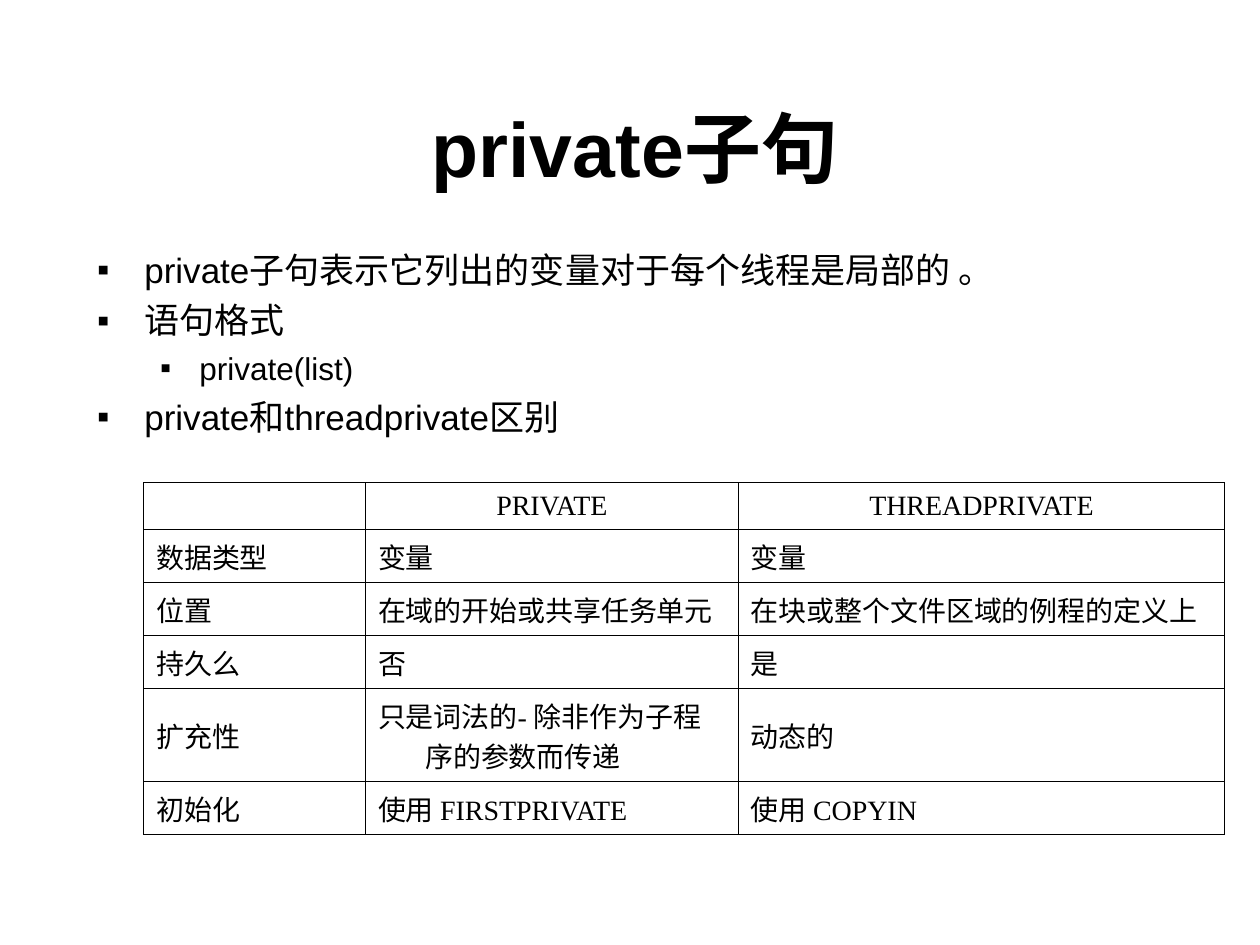
from lxml import etree
from pptx import Presentation
from pptx.dml.color import RGBColor
from pptx.enum.text import MSO_ANCHOR, MSO_AUTO_SIZE, PP_ALIGN
from pptx.oxml.ns import qn
from pptx.util import Pt

COLORS = {"ink": "000000"}
HEADING = "private子句"
POINTS = [
    (0, "private子句表示它列出的变量对于每个线程是局部的 。"),
    (0, "语句格式"),
    (1, "private(list)"),
    (0, "private和threadprivate区别"),
]
COMPARISON = [
    ("", "PRIVATE", "THREADPRIVATE"),
    ("数据类型", "变量", "变量"),
    ("位置", "在域的开始或共享任务单元", "在块或整个文件区域的例程的定义上"),
    ("持久么", "否", "是"),
    ("扩充性", "只是词法的- 除非作为子程序的参数而传递", "动态的"),
    ("初始化", "使用 FIRSTPRIVATE", "使用 COPYIN"),
]
COLUMN_WIDTHS = [126.72, 213.12, 277.92]
ROW_HEIGHTS = [26.64, 26.64, 26.64, 26.64, 45.36, 26.64]
# Per outline level: text size, space before, left margin, hanging indent
LEVELS = [(20, 5, 27, 27), (18, 4.5, 58.5, 22.5)]
CELL_SIZE, CELL_INDENT, BORDER = 16, 27, 0.45


def place(shape, left, top, width, height):
    shape.left, shape.top = Pt(left), Pt(top)
    shape.width, shape.height = Pt(width), Pt(height)


def style(paragraph, face, size, bold=False):
    for run in paragraph.runs:
        run.font.name, run.font.size, run.font.bold = face, Pt(size), bold
        run.font.color.rgb = RGBColor.from_string(COLORS["ink"])


def hang(paragraph, margin, indent):
    properties = paragraph._p.get_or_add_pPr()
    properties.set("marL", str(Pt(margin)))
    properties.set("indent", str(-Pt(indent)))
    return properties


def add_bullet(properties):
    color = etree.SubElement(properties, qn("a:buClr"))
    etree.SubElement(color, qn("a:srgbClr"), val=COLORS["ink"])
    etree.SubElement(properties, qn("a:buFont"), typeface="Arial")
    etree.SubElement(properties, qn("a:buChar"), char="▪")


def outline(cell):
    properties = cell._tc.get_or_add_tcPr()
    for position, side in enumerate(("lnL", "lnR", "lnT", "lnB")):
        line = etree.Element(qn(f"a:{side}"), w=str(Pt(BORDER)))
        fill = etree.SubElement(line, qn("a:solidFill"))
        etree.SubElement(fill, qn("a:srgbClr"), val=COLORS["ink"])
        properties.insert(position, line)


def fill_title(title):
    place(title, 54, 54, 617.76, 59.76)
    frame = title.text_frame
    frame.text = HEADING
    frame.auto_size = MSO_AUTO_SIZE.NONE
    frame.vertical_anchor = MSO_ANCHOR.BOTTOM
    frame.paragraphs[0].alignment = PP_ALIGN.CENTER
    style(frame.paragraphs[0], "Arial", 44, bold=True)


def fill_body(body):
    place(body, 48.24, 138.24, 623.52, 360)
    frame = body.text_frame
    frame.text = "\n".join(text for _, text in POINTS)
    frame.auto_size = MSO_AUTO_SIZE.NONE
    for index, (paragraph, (level, _)) in enumerate(zip(frame.paragraphs, POINTS)):
        size, gap, margin, indent = LEVELS[level]
        paragraph.level = level
        add_bullet(hang(paragraph, margin, indent))
        paragraph.space_before = Pt(gap if index else 0)
        style(paragraph, "Arial", size)


def add_comparison(slide):
    table = slide.shapes.add_table(
        len(COMPARISON), len(COLUMN_WIDTHS), Pt(82.08), Pt(275.76),
        Pt(sum(COLUMN_WIDTHS)), Pt(sum(ROW_HEIGHTS))).table
    table.first_row = table.horz_banding = False
    for column, width in zip(table.columns, COLUMN_WIDTHS):
        column.width = Pt(width)
    for row_index, (row, height) in enumerate(zip(table.rows, ROW_HEIGHTS)):
        row.height = Pt(height)
        for cell, text in zip(row.cells, COMPARISON[row_index]):
            cell.fill.background()
            outline(cell)
            cell.vertical_anchor = MSO_ANCHOR.MIDDLE
            cell.text_frame.text = text
            paragraph = cell.text_frame.paragraphs[0]
            paragraph.alignment = PP_ALIGN.LEFT if row_index else PP_ALIGN.CENTER
            hang(paragraph, CELL_INDENT, CELL_INDENT)
            style(paragraph, "Times New Roman", CELL_SIZE)
            if not text:
                etree.SubElement(paragraph._p, qn("a:endParaRPr"), sz=str(CELL_SIZE * 100))


def main():
    presentation = Presentation()
    presentation.slide_width, presentation.slide_height = Pt(720), Pt(540)
    slide = presentation.slides.add_slide(presentation.slide_layouts[1])
    fill_title(slide.shapes.title)
    fill_body(slide.placeholders[1])
    add_comparison(slide)
    presentation.save("out.pptx")


if __name__ == "__main__":
    main()
